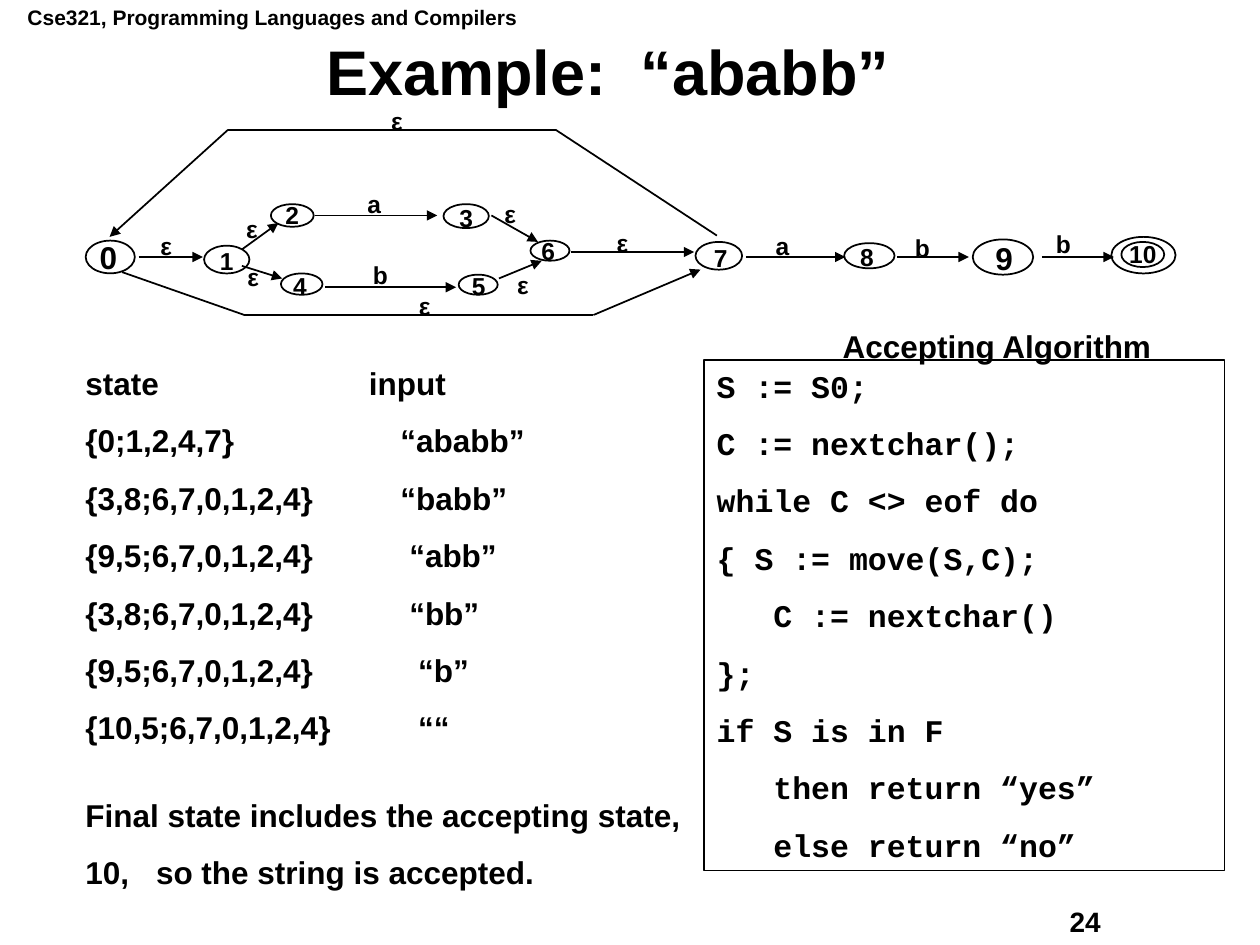
import pptx
import pptx.util
import pptx.dml.color
import pptx.enum.shapes
import pptx.enum.text
import pptx.oxml.ns
import lxml.etree

Inches = pptx.util.Inches
Pt = pptx.util.Pt
BLACK = pptx.dml.color.RGBColor(0, 0, 0)
WHITE = pptx.dml.color.RGBColor(255, 255, 255)
SHAPES = pptx.enum.shapes.MSO_SHAPE
ALIGN = pptx.enum.text.PP_ALIGN
ANCHOR = pptx.enum.text.MSO_ANCHOR
GAP = 11.2


def add_xml(parent, tag, **attributes):
    return lxml.etree.SubElement(parent, pptx.oxml.ns.qn(tag), **attributes)


class SlideWriter:
    """Style and current slide, with one method for each kind of element."""
    font = "Arial"
    code_font = "Courier New"
    line_width = Pt(1)

    def __init__(self, slide):
        self.slide = slide

    def format_text(self, frame, size, font=None, align=ALIGN.LEFT):
        for para in frame.paragraphs:
            para.alignment = align
            for span in para.runs:
                span.font.name = font or self.font
                span.font.size = Pt(size)
                span.font.bold = True
                span.font.color.rgb = BLACK

    def place(self, shape, left, top, width, height):
        shape.left, shape.top = Inches(left), Inches(top)
        shape.width, shape.height = Inches(width), Inches(height)

    def title(self, text, *area):
        box = self.slide.shapes.title
        self.place(box, *area)
        box.text_frame.text = text
        box.text_frame.vertical_anchor = ANCHOR.MIDDLE
        box.text_frame.paragraphs[0].line_spacing = 0.9
        self.format_text(box.text_frame, 36, align=ALIGN.CENTER)

    def text(self, text, left, top, width, height, size, align=ALIGN.LEFT, margin=0.05):
        box = self.slide.shapes.add_textbox(*map(Inches, (left, top, width, height)))
        frame = box.text_frame
        frame.word_wrap = True
        frame.margin_top = frame.margin_bottom = Inches(margin)
        frame.text = text
        self.format_text(frame, size, align=align)
        return frame

    def label(self, text, center, top, size=14):
        self.text(text, center - 0.3, top, 0.6, 0.31, size, ALIGN.CENTER, 0.04)

    def outline(self, kind, left, top, width, height):
        shape = self.slide.shapes.add_shape(kind, *map(Inches, (left, top, width, height)))
        shape.shadow.inherit = False
        shape.line.color.rgb = BLACK
        shape.line.width = self.line_width
        return shape

    def oval(self, *area):
        shape = self.outline(SHAPES.OVAL, *area)
        shape.fill.solid()
        shape.fill.fore_color.rgb = WHITE

    def code(self, lines, *area):
        shape = self.outline(SHAPES.RECTANGLE, *area)
        shape.fill.background()
        frame = shape.text_frame
        frame.vertical_anchor = ANCHOR.TOP
        frame.text = "\n".join(text for indent, text in lines)
        self.format_text(frame, 18, self.code_font)
        for para, (indent, text) in zip(frame.paragraphs, lines):
            para.space_before = Pt(GAP)
            properties = para._p.get_or_add_pPr()
            properties.set("marL", str(Inches(0.15 * indent)))
            properties.set("indent", "0")

    def route(self, points, arrow=True):
        """Straight lines through the points, with an arrowhead at the last one."""
        for start, end in zip(points, points[1:]):
            line = self.slide.shapes.add_connector(
                pptx.enum.shapes.MSO_CONNECTOR.STRAIGHT, *map(Inches, start + end))
            line.line.color.rgb = BLACK
            line.line.width = self.line_width
            if arrow and end == points[-1]:
                add_xml(line.line._get_or_add_ln(), "a:tailEnd", type="triangle")
            add_xml(line._element.spPr, "a:effectLst")

    def tabbed_lines(self, lines, *area):
        """Each line is text before the tab, tab position, text after, space before."""
        frame = self.text("\n".join(before + ("\t" + after if after else "")
                                    for before, stop, after, gap in lines), *area, 18)
        for para, (before, stop, after, gap) in zip(frame.paragraphs, lines):
            para.space_before = Pt(gap)
            if after:
                tabs = add_xml(para._p.get_or_add_pPr(), "a:tabLst")
                add_xml(tabs, "a:tab", pos=str(Inches(stop)), algn="l")


deck = pptx.Presentation()
deck.slide_width, deck.slide_height = Inches(10), Inches(7.5)
page = SlideWriter(deck.slides.add_slide(deck.slide_layouts[5]))

# Header, page number and title
page.text("Cse321, Programming Languages and Compilers", 0.12, -0.01, 4.4, 0.3, 12)
page.text("24", 8.39, 7.13, 1.27, 0.36, 16)
page.title("Example:  “ababb”", 0.31, 0.32, 9.03, 0.56)

# Trace of states and remaining input
page.tabbed_lines([
    ("state", 2.25, "input", GAP),
    ("{0;1,2,4,7}", 2.5, "“ababb”", GAP),
    ("{3,8;6,7,0,1,2,4}", 2.5, "“babb”", GAP),
    ("{9,5;6,7,0,1,2,4}", 2.57, "“abb”", GAP),
    ("{3,8;6,7,0,1,2,4}", 2.57, "“bb”", GAP),
    ("{9,5;6,7,0,1,2,4}", 2.64, "“b”", GAP),
    ("{10,5;6,7,0,1,2,4}", 2.64, "““", GAP),
    ("Final state includes the accepting state,", 0, "", 28.2),
    ("10,", 0.56, "so the string is accepted.", GAP),
], 0.58, 2.84, 8.79, 4.28)

# Accepting algorithm, with indents in characters
page.code([
    (0, "S := S0;"),
    (0, "C := nextchar();"),
    (0, "while C <> eof do"),
    (0, "{ S := move(S,C);"),
    (3, "C := nextchar()"),
    (0, "};"),
    (0, "if S is in F"),
    (3, "then return “yes”"),
    (3, "else return “no”"),
], 5.59, 2.86, 4.13, 4.05)
page.text("Accepting Algorithm", 6.59, 2.55, 2.8, 0.4, 18)

# States: oval, then label centre, label top and size
page.oval(8.82, 1.88, 0.51, 0.29)
states = {
    "0": ((0.68, 1.91, 0.39, 0.26), (0.86, 1.85, 18)),
    "1": ((1.62, 1.95, 0.36, 0.22), (1.8, 1.91)),
    "2": ((2.15, 1.62, 0.34, 0.18), (2.32, 1.55)),
    "3": ((3.52, 1.62, 0.36, 0.19), (3.7, 1.57)),
    "4": ((2.23, 2.17, 0.33, 0.17), (2.38, 2.11)),
    "5": ((3.64, 2.18, 0.31, 0.16), (3.8, 2.11)),
    "6": ((4.21, 1.91, 0.31, 0.16), (4.35, 1.83)),
    "7": ((5.52, 1.92, 0.37, 0.22), (5.72, 1.89)),
    "8": ((6.7, 1.93, 0.4, 0.2), (6.88, 1.88)),
    "9": ((7.72, 1.9, 0.48, 0.28), (7.97, 1.86, 18)),
    "10": ((8.9, 1.92, 0.34, 0.2), (9.07, 1.86)),
}
for name, (area, label) in states.items():
    page.oval(*area)
    page.label(name, *label)

# Transitions: symbol, label centre and top, points
transitions = [
    ("ε", (1.32, 1.79), [(1.1, 2.04), (1.61, 2.04)]),
    ("ε", (2.0, 1.66), [(1.92, 1.98), (2.21, 1.77)]),
    ("ε", (2.01, 2.04), [(1.92, 2.11), (2.24, 2.21)]),
    ("a", (2.97, 1.46), [(2.5, 1.71), (3.47, 1.71)]),
    ("b", (3.02, 2.02), [(2.58, 2.28), (3.62, 2.28)]),
    ("ε", (4.05, 1.54), [(3.9, 1.71), (4.27, 1.92)]),
    ("ε", (4.15, 2.1), [(3.96, 2.21), (4.3, 2.07)]),
    ("ε", (4.94, 1.77), [(4.53, 2), (5.51, 2)]),
    ("a", (6.21, 1.79), [(5.92, 2.04), (6.71, 2.04)]),
    ("b", (7.32, 1.81), [(7.12, 2.04), (7.69, 2.04)]),
    ("b", (8.44, 1.78), [(8.27, 2.04), (8.84, 2.04)]),
    ("ε", (3.15, 0.8), [(5.69, 1.87), (4.41, 1.03), (1.81, 1.03), (0.87, 1.88)]),
    ("ε", (3.37, 2.27), [(0.97, 2.16), (1.94, 2.5), (4.71, 2.5), (5.56, 2.14)]),
]
for symbol, label, points in transitions:
    page.route(points)
    page.label(symbol, *label)

deck.save("out.pptx")
